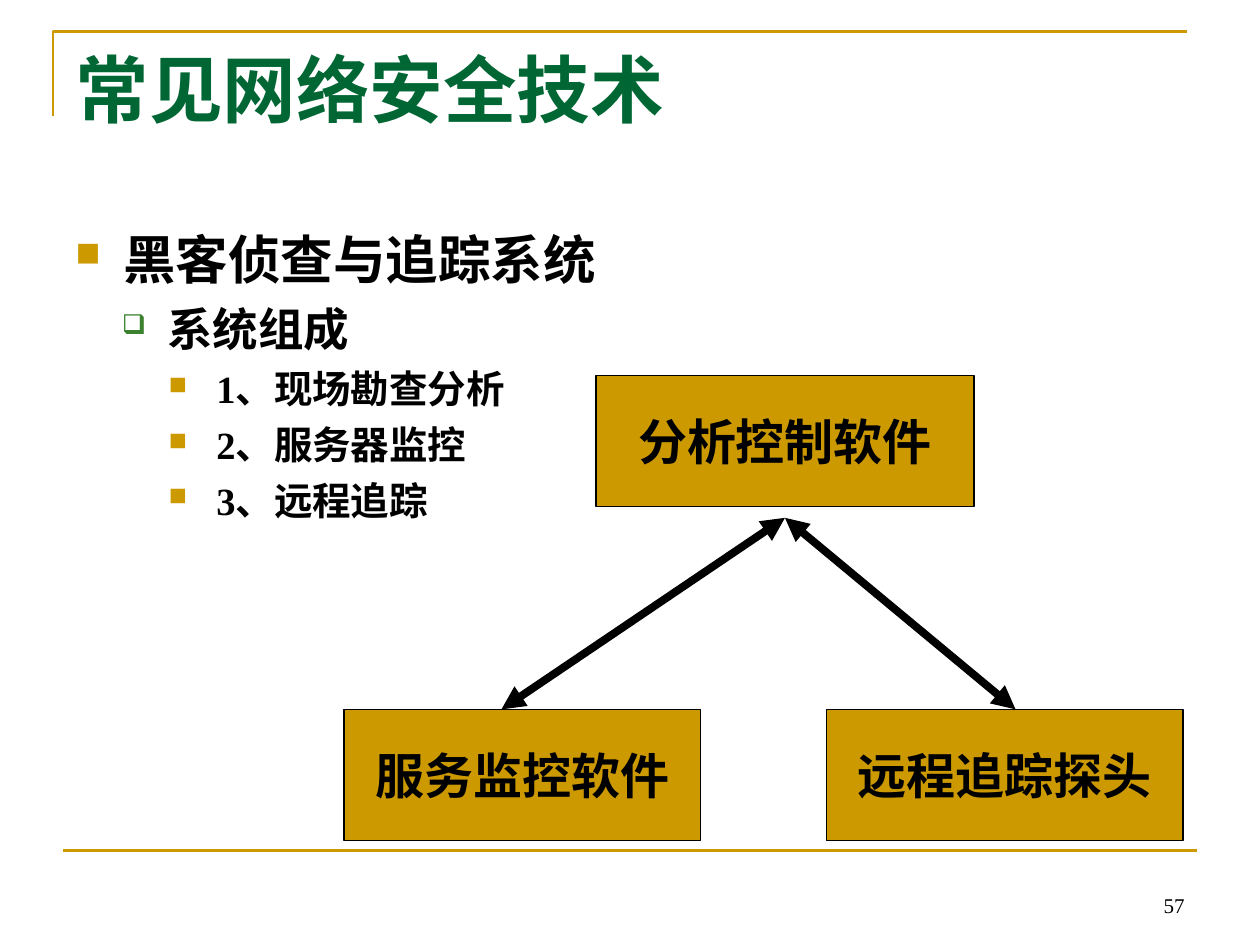
from dataclasses import dataclass

from lxml import etree
from pptx import Presentation
from pptx.dml.color import RGBColor
from pptx.enum.shapes import MSO_CONNECTOR, MSO_SHAPE
from pptx.enum.text import MSO_ANCHOR, MSO_AUTO_SIZE, PP_ALIGN
from pptx.oxml.ns import qn
from pptx.util import Inches, Pt

STRAIGHT = MSO_CONNECTOR.STRAIGHT
RECTANGLE = MSO_SHAPE.RECTANGLE
TOP, MIDDLE, BOTTOM = MSO_ANCHOR.TOP, MSO_ANCHOR.MIDDLE, MSO_ANCHOR.BOTTOM
NO_FIT = MSO_AUTO_SIZE.NONE
LEFT, CENTER, RIGHT = PP_ALIGN.LEFT, PP_ALIGN.CENTER, PP_ALIGN.RIGHT

WIDTH, HEIGHT = Inches(10), Inches(7.5)
COLUMNS, ROWS = 40, 30


@dataclass(frozen=True)
class Theme:
    """Colours, font and type sizes of the slide."""
    font: str = "Times New Roman"
    gold: str = "CC9900"
    title: str = "006633"
    leaf: str = "3B812F"
    ink: str = "000000"
    title_size: float = 42
    box_size: float = 28
    number_size: float = 12


@dataclass(frozen=True)
class Level:
    """Look of one outline level, with indents in inches."""
    size: float
    margin: float
    hanging: float
    before: float
    bullet: str
    color: str
    percent: int


THEME = Theme()
LEVELS = (
    Level(30, 0.38, 0.38, 7.5, "■", THEME.gold, 65),
    Level(26, 0.73, 0.36, 6.5, "❑", THEME.leaf, 60),
    Level(22, 1.12, 0.38, 5.5, "■", THEME.gold, 65),
)
OUTLINE = (
    (0, "黑客侦查与追踪系统"),
    (1, "系统组成"),
    (2, "1、现场勘查分析"),
    (2, "2、服务器监控"),
    (2, "3、远程追踪"),
)
BOXES = (
    ("分析控制软件", 18.92, 11.92, 12),
    ("服务监控软件", 10.92, 22.52, 11.32),
    ("远程追踪探头", 26.24, 22.52, 11.32),
)
BOX_ROWS = 4.16
HUB = (24.92, 16.44)
ARROW_ENDS = ((15.92, 22.52), (32.24, 22.52))


def x(columns):
    """Turn grid columns into a length."""
    return round(WIDTH * columns / COLUMNS)


def y(rows):
    """Turn grid rows into a length."""
    return round(HEIGHT * rows / ROWS)


def area(left, top, width, height):
    """Turn a grid area into left, top, width and height."""
    return x(left), y(top), x(width), y(height)


def set_font(p, size, color=THEME.ink, bold=True):
    """Format the font of a paragraph."""
    p.font.name = THEME.font
    p.font.size = Pt(size)
    p.font.bold = bold
    p.font.color.rgb = RGBColor.from_string(color)


def set_line(line, color, width):
    """Give a line its colour and width."""
    line.color.rgb = RGBColor.from_string(color)
    line.width = Pt(width)


def add_title(s, text):
    """Place and fill the title placeholder."""
    sp = s.shapes.title
    sp.left, sp.top, sp.width, sp.height = area(2, 1.2, 36, 5)
    tf = sp.text_frame
    tf.text = text
    tf.auto_size = NO_FIT
    tf.vertical_anchor = TOP
    p = tf.paragraphs[0]
    p.alignment = LEFT
    set_font(p, THEME.title_size, THEME.title)


def add_frame(s):
    """Draw the corner rule above the title."""
    builder = s.shapes.build_freeform(x(1.68), y(3.68))
    builder.add_line_segments([(x(1.68), y(1)), (x(37.68), y(1))], close=False)
    sp = builder.convert_to_shape()
    sp.shadow.inherit = False
    sp.fill.background()
    set_line(sp.line, THEME.gold, 1.5)


def add_line(s, start, end, color, width, arrows=False):
    """Draw a straight line, with arrowheads at both ends if asked."""
    c = s.shapes.add_connector(STRAIGHT, x(start[0]), y(start[1]), x(end[0]), y(end[1]))
    set_line(c.line, color, width)
    properties = c._element.spPr
    etree.SubElement(properties, qn("a:effectLst"))
    if arrows:
        ln = properties.find(qn("a:ln"))
        for tag in ("a:headEnd", "a:tailEnd"):
            etree.SubElement(ln, qn(tag), type="triangle")


def add_bullet(p, level):
    """Give a paragraph its bullet and hanging indent."""
    properties = p._p.get_or_add_pPr()
    properties.set("marL", str(Inches(level.margin)))
    properties.set("indent", str(-Inches(level.hanging)))
    color = etree.SubElement(properties, qn("a:buClr"))
    etree.SubElement(color, qn("a:srgbClr"), val=level.color)
    etree.SubElement(properties, qn("a:buSzPct"), val=str(level.percent * 1000))
    etree.SubElement(properties, qn("a:buChar"), char=level.bullet)


def add_outline(s, items):
    """Add the bulleted outline."""
    tf = s.shapes.add_textbox(*area(2, 7, 36, 19.8)).text_frame
    tf.word_wrap = True
    for i, (depth, text) in enumerate(items):
        p = tf.add_paragraph() if i else tf.paragraphs[0]
        level = LEVELS[depth]
        p.text = text
        p.level = depth
        add_bullet(p, level)
        p.space_before = Pt(level.before if i else 0)
        set_font(p, level.size)


def add_box(s, text, left, top, width):
    """Add one labelled component box."""
    sp = s.shapes.add_shape(RECTANGLE, *area(left, top, width, BOX_ROWS))
    sp.shadow.inherit = False
    sp.fill.solid()
    sp.fill.fore_color.rgb = RGBColor.from_string(THEME.gold)
    set_line(sp.line, THEME.ink, 0.75)
    tf = sp.text_frame
    tf.text = text
    tf.word_wrap = False
    tf.vertical_anchor = MIDDLE
    p = tf.paragraphs[0]
    p.alignment = CENTER
    set_font(p, THEME.box_size)


def add_number(s, text):
    """Add the page number."""
    tf = s.shapes.add_textbox(*area(28.68, 27.32, 9.32, 2)).text_frame
    tf.text = text
    tf.word_wrap = True
    tf.vertical_anchor = BOTTOM
    p = tf.paragraphs[0]
    p.alignment = RIGHT
    set_font(p, THEME.number_size, bold=False)


def main():
    """Build and save the slide."""
    prs = Presentation()
    prs.slide_width, prs.slide_height = WIDTH, HEIGHT
    s = prs.slides.add_slide(prs.slide_layouts[5])
    add_frame(s)
    add_line(s, (2, 27), (38, 27), THEME.gold, 1.5)
    add_title(s, "常见网络安全技术")
    add_outline(s, OUTLINE)
    add_number(s, "57")
    for box in BOXES:
        add_box(s, *box)
    for end in ARROW_ENDS:
        add_line(s, HUB, end, THEME.ink, 4.5, arrows=True)
    prs.save("out.pptx")


if __name__ == "__main__":
    main()
